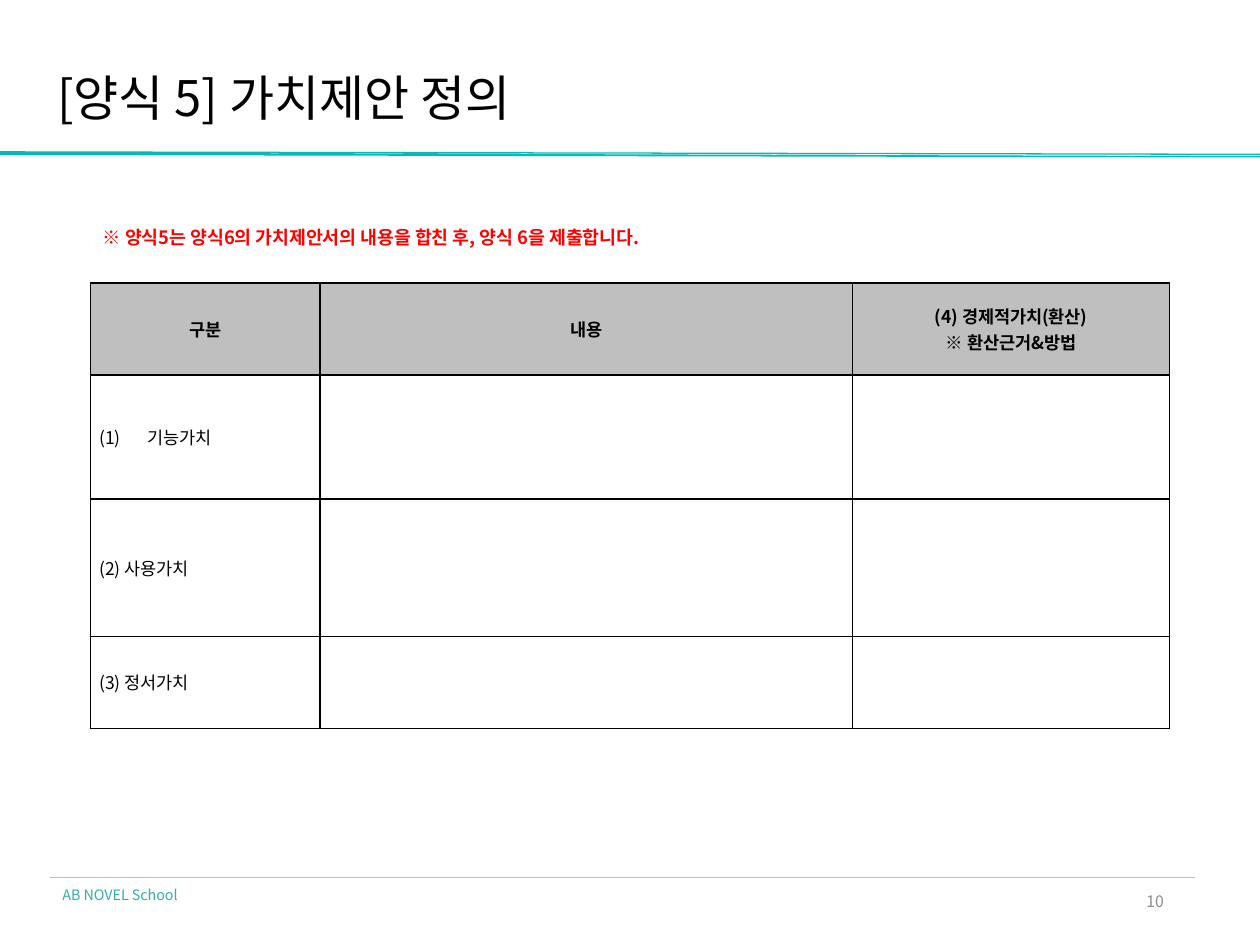
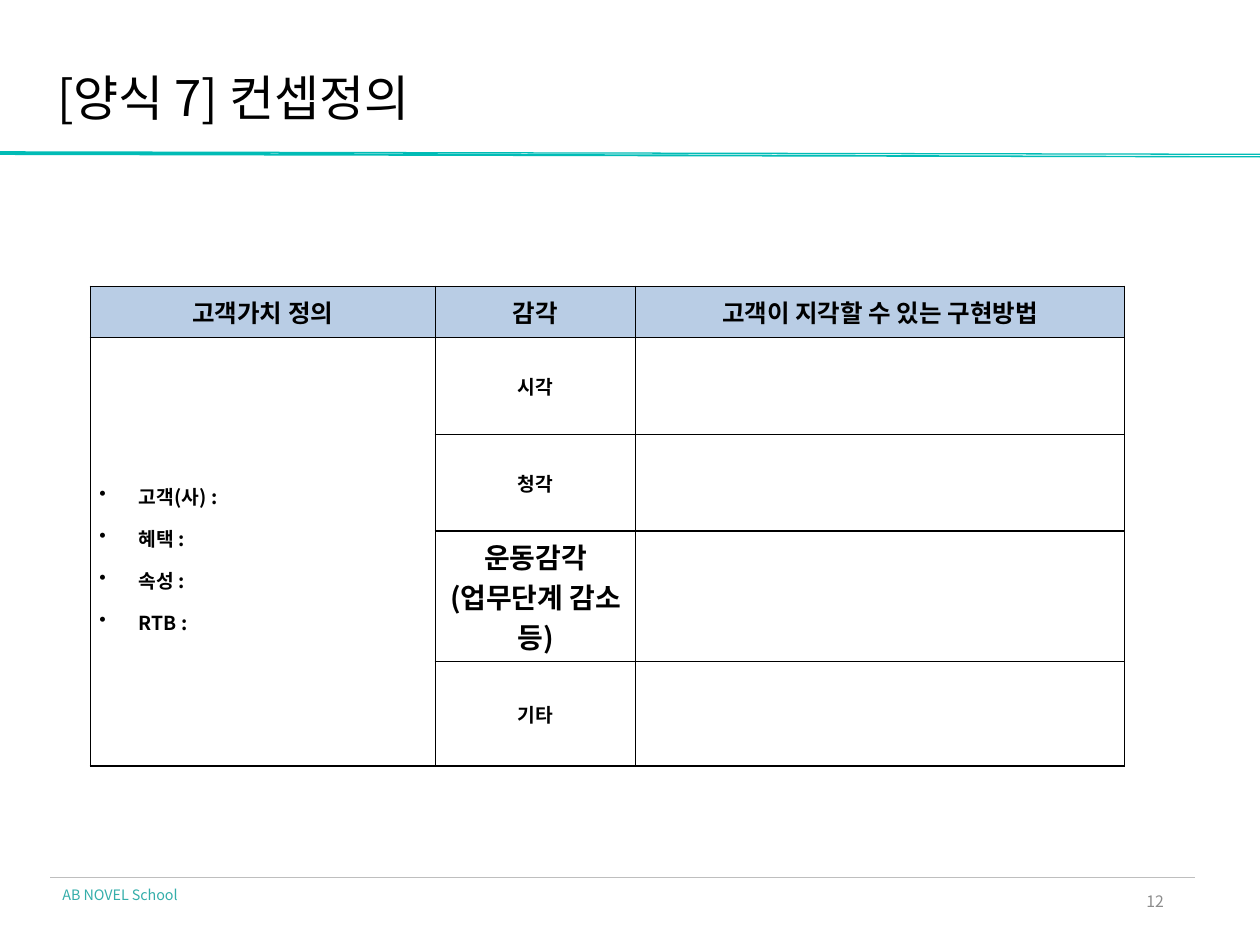
from copy import deepcopy

from lxml import etree
from pptx import Presentation
from pptx.dml.color import RGBColor
from pptx.enum import shapes, text
from pptx.oxml import ns
from pptx.util import Pt

FONT = "Noto Sans CJK KR"
WIDTH, HEIGHT = 720, 540
COLORS = {
    "teal": "01BCB6",
    "footer": "34AEAA",
    "rule": "BEBEBE",
    "number": "8C8C8C",
    "black": "000000",
    "red": "FF0000",
    "gray_header": "BFBFBF",
    "blue_header": "B9CDE5",
}
CENTER, LEFT, RIGHT = text.PP_ALIGN.CENTER, text.PP_ALIGN.LEFT, text.PP_ALIGN.RIGHT
MIDDLE, TOP = text.MSO_ANCHOR.MIDDLE, text.MSO_ANCHOR.TOP


def color(name):
    return RGBColor.from_string(COLORS[name])


def add_child(parent, tag, **attributes):
    return etree.SubElement(parent, ns.qn(tag), **attributes)


# Text helpers

def style_paragraph(para, size, ink="black", bold=False, align=LEFT):
    para.alignment = align
    for span in para.runs:
        span.font.size = Pt(size)
        span.font.bold = bold
        span.font.name = FONT
        span.font.color.rgb = color(ink)
        add_child(span.font._element, "a:ea", typeface=FONT)
    for line_break in para._p.findall(ns.qn("a:br")):
        line_break.append(deepcopy(para.runs[0].font._element))


def set_bullet(para, indent, tag, **attributes):
    properties = para._p.get_or_add_pPr()
    properties.set("marL", str(Pt(indent)))
    properties.set("indent", str(-Pt(indent)))
    add_child(properties, tag, **attributes)


def add_text(page, box, words, size, ink="black", bold=False, align=LEFT,
             anchor=TOP, margins=(7.2, 3.6)):
    label = page.shapes.add_textbox(*map(Pt, box))
    frame = label.text_frame
    frame.word_wrap = True
    frame.vertical_anchor = anchor
    frame.margin_left = frame.margin_right = Pt(margins[0])
    frame.margin_top = frame.margin_bottom = Pt(margins[1])
    frame.text = words
    style_paragraph(frame.paragraphs[0], size, ink, bold, align)


# Parts shared by every page

def add_band(page, box):
    left, top, width, height = box
    # Each strip: upper left, lower left, lower right, upper right
    strips = [(0.2, 0.6, 1, 0.8), (0, 0.2, 0.6, 0.4)]
    builder = None
    for strip in strips:
        points = [(Pt(left + width * side), Pt(top + height * level))
                  for side, level in zip((0, 0, 1, 1), strip)]
        if builder is None:
            builder = page.shapes.build_freeform(*points[0])
        else:
            builder.move_to(*points[0])
        builder.add_line_segments(points[1:], close=True)
    band = builder.convert_to_shape()
    band.shadow.inherit = False
    band.fill.solid()
    band.fill.fore_color.rgb = color("teal")
    band.line.fill.background()


def add_footer(page, box, number):
    left, top, width, height = box
    rule = page.shapes.add_connector(
        shapes.MSO_CONNECTOR.STRAIGHT, Pt(left), Pt(top), Pt(left + width), Pt(top))
    rule.line.color.rgb = color("rule")
    rule.line.width = Pt(0.5)
    add_child(rule._element.spPr, "a:effectLst")
    add_text(page, (left, top + 1.2, 93, 17), "AB NOVEL School", 8.2, "footer")
    add_text(page, (left + width - 174.6, top - 0.9, 162, height), str(number), 9,
             "number", align=RIGHT, anchor=MIDDLE, margins=(5.2, 2.6))


def start_page(deck, title, number):
    page = deck.slides.add_slide(deck.slide_layouts[6])
    add_band(page, (0, 86.4, WIDTH, 3.6))
    add_footer(page, (28.6, 501.6, 654.2, 28.8), number)
    add_text(page, (32.7, 38.7, 650, 33.8), title, 28, anchor=MIDDLE, margins=(0, 0))
    return page


# Tables

def format_cell(cell, fill):
    cell.vertical_anchor = MIDDLE
    cell.margin_left = cell.margin_right = Pt(5.2)
    cell.margin_top = cell.margin_bottom = Pt(2.6)
    properties = cell._tc.get_or_add_tcPr()
    for side in "LRTB":
        border = add_child(properties, f"a:ln{side}", w=str(Pt(1)))
        paint = add_child(border, "a:solidFill")
        add_child(paint, "a:srgbClr", val=COLORS["black"])
    if fill:
        cell.fill.solid()
        cell.fill.fore_color.rgb = color(fill)
    else:
        cell.fill.background()


def add_grid(page, corner, columns, rows, header_fill):
    table = page.shapes.add_table(
        len(rows), len(columns), *map(Pt, (*corner, sum(columns), sum(rows)))).table
    table.first_row = table.horz_banding = False
    for column, width in zip(table.columns, columns):
        column.width = Pt(width)
    for index, height in enumerate(rows):
        table.rows[index].height = Pt(height)
        for cell in table.rows[index].cells:
            format_cell(cell, None if index else header_fill)
    return table


def fill_cell(cell, words, size, bold=True, align=CENTER):
    cell.text_frame.text = words
    for para in cell.text_frame.paragraphs:
        style_paragraph(para, size, bold=bold, align=align)
    return cell.text_frame.paragraphs


def fill_headers(table, headers, size):
    for cell, words in zip(table.rows[0].cells, headers):
        fill_cell(cell, words, size)


# Pages

def value_page(deck):
    page = start_page(deck, "[양식 5] 가치제안 정의", 10)
    table = add_grid(page, (51.6, 161.7), (131.2, 304.3, 181.3),
                     (52.6, 70.8, 78.6, 52.6), "gray_header")
    fill_headers(table, ("구분", "내용", "(4) 경제적가치(환산)\v※ 환산근거&방법"), 10)
    values = ("기능가치", "(2) 사용가치", "(3) 정서가치")
    for row, words in enumerate(values, start=1):
        paragraphs = fill_cell(table.cell(row, 0), words, 10, bold=False, align=LEFT)
        if row == 1:
            set_bullet(paragraphs[0], 27.4, "a:buAutoNum", type="arabicParenBoth")
    add_text(page, (51.6, 125.8, 589, 20),
             "※ 양식5는 양식6의 가치제안서의 내용을 합친 후, 양식 6을 제출합니다.",
             10.5, "red", bold=True)


def concept_page(deck):
    page = start_page(deck, "[양식 7] 컨셉정의", 12)
    # The motor-sense row is tall enough for three lines of its label
    table = add_grid(page, (51.6, 163.7), (197.2, 114.5, 279.4),
                     (29.3, 55.2, 55.2, 74.7, 59.8), "blue_header")
    fill_headers(table, ("고객가치 정의", "감각", "고객이 지각할 수 있는 구현방법"), 14)

    # Customer value list beside all the senses
    customer = table.cell(1, 0)
    customer.merge(table.cell(4, 0))
    for para in fill_cell(customer, "고객(사) :\n혜택 :\n속성 :\nRTB :", 11, align=LEFT):
        para.line_spacing = 1.5
        set_bullet(para, 22.5, "a:buChar", char="•")

    senses = (("시각", 11), ("청각", 11), ("운동감각\n(업무단계 감소 등)", 16), ("기타", 11))
    for row, (words, size) in enumerate(senses, start=1):
        fill_cell(table.cell(row, 1), words, size)


def main():
    deck = Presentation()
    deck.slide_width, deck.slide_height = Pt(WIDTH), Pt(HEIGHT)
    value_page(deck)
    concept_page(deck)
    deck.save("out.pptx")


if __name__ == "__main__":
    main()
